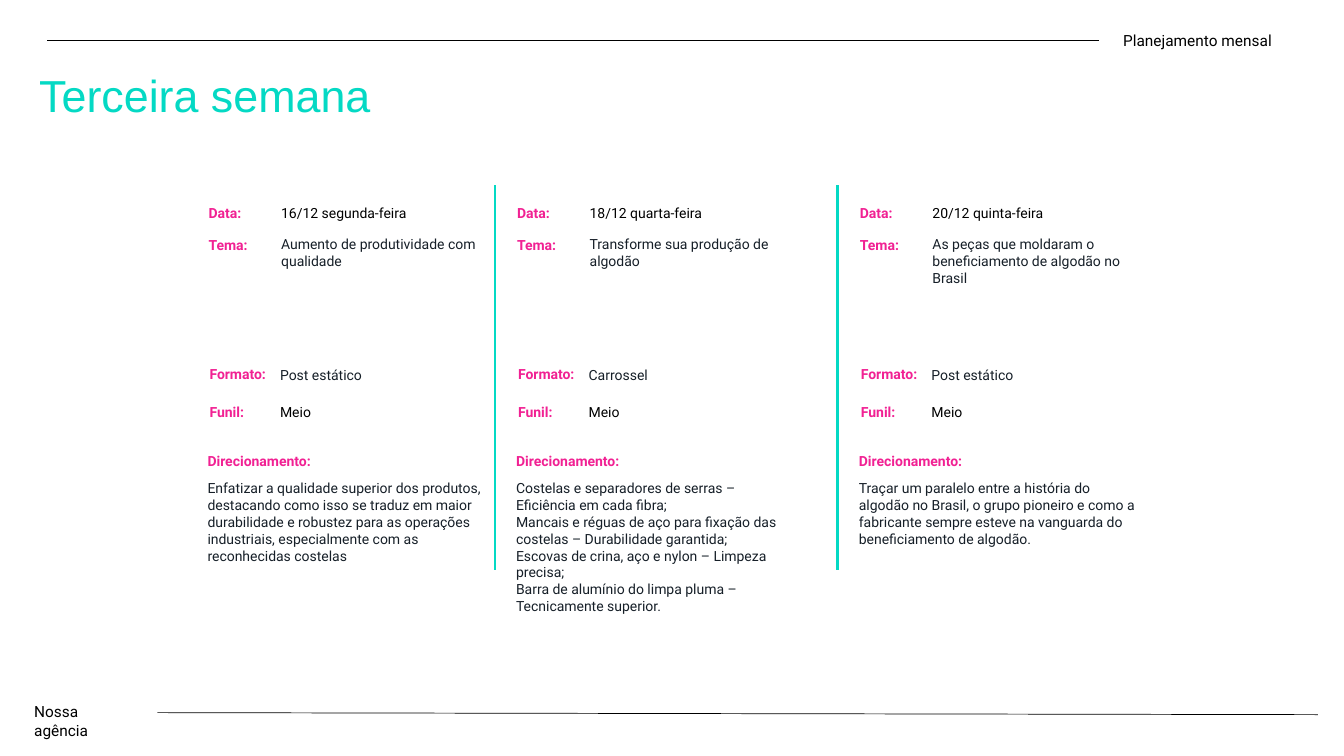
from lxml import etree
from pptx import Presentation
from pptx.dml.color import RGBColor
from pptx.enum.shapes import MSO_CONNECTOR
from pptx.enum.text import MSO_AUTO_SIZE
from pptx.oxml.ns import qn
from pptx.util import Emu, Pt

STRAIGHT = MSO_CONNECTOR.STRAIGHT
GROW = MSO_AUTO_SIZE.SHAPE_TO_FIT_TEXT
EMU_PER_PX = 9144  # 100 px to the inch

TEAL, PINK, BLACK, INK = "04D9C4", "F12193", "000000", "161F28"


def px(length):
    return Emu(length * EMU_PER_PX)


def color(hex_code):
    return RGBColor.from_string(hex_code)


class PlanSlide:
    font = "Roboto"
    size = 10

    def __init__(self, presentation):
        self.slide = presentation.slides.add_slide(presentation.slide_layouts[6])

    def text(self, x, y, width, height, content, ink=BLACK, size=size,
             font=font, bold=False, wrap=True):
        box = self.slide.shapes.add_textbox(px(x), px(y), px(width), px(height))
        frame = box.text_frame
        frame.word_wrap = wrap
        frame.auto_size = GROW
        frame.text = content
        for paragraph in frame.paragraphs:
            paragraph.font.name = font
            paragraph.font.size = Pt(size)
            paragraph.font.bold = bold
            paragraph.font.color.rgb = color(ink)

    def label(self, x, y, width, content, wrap=True):
        self.text(x, y, width, 27, content, PINK, bold=True, wrap=wrap)

    def rule(self, x1, y1, x2, y2, ink, weight):
        line = self.slide.shapes.add_connector(STRAIGHT, px(x1), px(y1), px(x2), px(y2))
        line.line.color.rgb = color(ink)
        line.line.width = Pt(weight)
        properties = line._element.spPr
        etree.SubElement(properties, qn("a:effectLst"))

    def post(self, x, date, theme, post_format, direction):
        """Draw one post; each field is (content, width) or (content, height)."""
        # Short labels
        self.label(x, 198, 62, "Data:")
        self.label(x, 230, 69, "Tema:")
        self.label(x + 1, 358, 84, "Formato:", wrap=False)
        self.label(x + 1, 395, 59, "Funil:", wrap=False)
        # Their values
        self.text(x + 72, 198, date[1], 27, date[0], wrap=False)
        self.text(x + 72, 229, 222, theme[1], theme[0], INK)
        self.text(x + 71, 359, post_format[1], 27, post_format[0], INK, wrap=False)
        self.text(x + 71, 395, 53, 27, "Meio", wrap=False)
        # Direction
        self.label(x - 1, 444, 142, "Direcionamento:")
        self.text(x - 1, 471, 295, direction[1], direction[0], INK)


POSTS = [
    (197, ("16/12 segunda-feira", 155),
     ("Aumento de produtividade com qualidade", 44),
     ("Post estático", 106),
     ("Enfatizar a qualidade superior dos produtos, destacando como isso se "
      "traduz em maior durabilidade e robustez para as operações industriais, "
      "especialmente com as reconhecidas costelas", 111)),
    (503, ("18/12 quarta-feira", 140),
     ("Transforme sua produção de algodão", 44),
     ("Carrossel", 82),
     ("Costelas e separadores de serras – Eficiência em cada fibra;\n"
      "Mancais e réguas de aço para fixação das costelas – Durabilidade garantida;\n"
      "Escovas de crina, aço e nylon – Limpeza precisa;\n"
      "Barra de alumínio do limpa pluma – Tecnicamente superior.", 145)),
    (843, ("20/12 quinta-feira", 139),
     ("As peças que moldaram o beneficiamento de algodão no Brasil", 61),
     ("Post estático", 106),
     ("Traçar um paralelo entre a história do algodão no Brasil, o grupo "
      "pioneiro e como a fabricante sempre esteve na vanguarda do beneficiamento "
      "de algodão.", 94)),
]


def main():
    presentation = Presentation()
    presentation.slide_width = px(1333)
    presentation.slide_height = px(750)
    plan = PlanSlide(presentation)

    # Title and header
    plan.text(29, 62, 598, 64, "Terceira semana", TEAL, size=32, font="Arial")
    plan.rule(47, 40, 1090, 40, BLACK, 0.5)
    plan.text(1104, 26, 209, 29, "Planejamento mensal", size=11)

    # Footer
    plan.text(24, 692, 118, 29, "Nossa agência", size=11)
    plan.rule(156, 707, 1307, 709, BLACK, 0.5)

    # Posts of the week, with dividers between them
    for post in POSTS:
        plan.post(*post)
    for divider_x in (491, 831):
        plan.rule(divider_x, 184, divider_x, 565, TEAL, 2)

    presentation.save("out.pptx")


if __name__ == "__main__":
    main()
